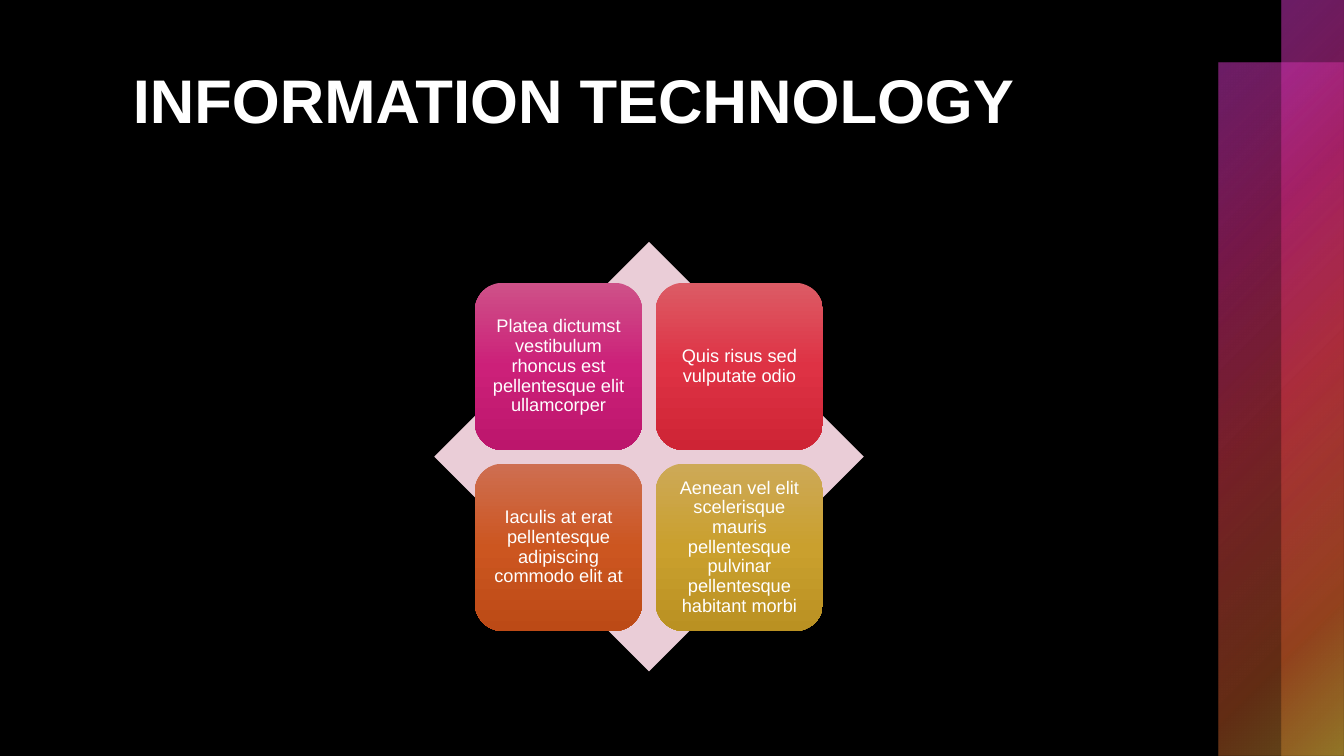
from pptx import Presentation, oxml
from pptx.dml import color
from pptx.enum import shapes, text
from pptx.oxml import ns
from pptx.util import Pt

FONT = "Arial"
WHITE = "FFFFFF"
KIND = shapes.MSO_SHAPE
GLOW = [(0, "D63ACC", 50), (25, "C42879", 60), (50, "D63A4A", 55),
        (81, "C45928", 50), (99, "C39D35", 50)]
ROUND = '<a:path path="circle"><a:fillToRect r="100000" b="100000"/></a:path>'
DOWN = '<a:lin ang="5400000" scaled="0"/>'
BARS = [(870.5, 44.6, 89.5, 495.4), (915.4, 0, 44.6, 540)]
TILES = [
    ("Platea dictumst vestibulum rhoncus est pellentesque elit ullamcorper",
     ("CE5188", "CC2079", "BC166C")),
    ("Quis risus sed vulputate odio",
     ("DC5B65", "DE3244", "CE2435")),
    ("Iaculis at erat pellentesque adipiscing commodo elit at",
     ("CE6E51", "CC5620", "BC4A16")),
    ("Aenean vel elit scelerisque mauris pellentesque pulvinar pellentesque habitant morbi",
     ("CDA957", "CAA02E", "BA9122")),
]
LEFT, TOP, SIDE, STEP = 339.2, 202, 119.5, 129.2


def paint(fill, tint):
    fill.solid()
    fill.fore_color.rgb = color.RGBColor.from_string(tint)


def blend(shape, stops, course):
    marks = "".join(
        f'<a:gs pos="{pos * 1000}"><a:srgbClr val="{tint}">'
        f'<a:alpha val="{alpha * 1000}"/></a:srgbClr></a:gs>'
        for pos, tint, alpha in stops)
    fill = oxml.parse_xml(
        f'<a:gradFill {ns.nsdecls("a")} rotWithShape="1">'
        f'<a:gsLst>{marks}</a:gsLst>{course}</a:gradFill>')
    shape._element.spPr.find(ns.qn("a:prstGeom")).addnext(fill)


def block(slide, kind, box):
    shape = slide.shapes.add_shape(kind, *map(Pt, box))
    shape.shadow.inherit = False
    shape.line.fill.background()
    return shape


def write(para, words, size, bold=False):
    run = para.add_run()
    run.text = words
    run.font.name = FONT
    run.font.size = Pt(size)
    run.font.bold = bold
    run.font.color.rgb = color.RGBColor.from_string(WHITE)


def title(slide, words):
    frame = slide.shapes.add_textbox(Pt(87.8), Pt(36), Pt(746.6), Pt(122.4)).text_frame
    frame.word_wrap = True
    frame.margin_top = Pt(8)
    write(frame.paragraphs[0], words, 44, True)


def tile(slide, box, words, tints):
    shape = block(slide, KIND.ROUNDED_RECTANGLE, box)
    blend(shape, [(i * 50, tint, 100) for i, tint in enumerate(tints)], DOWN)
    frame = shape.text_frame
    frame.word_wrap = True
    frame.vertical_anchor = text.MSO_ANCHOR.MIDDLE
    frame.margin_left = frame.margin_right = Pt(3.6)
    frame.margin_top = frame.margin_bottom = Pt(3.6)
    para = frame.paragraphs[0]
    para.alignment = text.PP_ALIGN.CENTER
    para.line_spacing = 0.9
    write(para, words, 13)


def main():
    deck = Presentation()
    deck.slide_width, deck.slide_height = Pt(960), Pt(540)
    slide = deck.slides.add_slide(deck.slide_layouts[6])
    paint(slide.background.fill, "000000")
    for box in BARS:
        blend(block(slide, KIND.RECTANGLE, box), GLOW, ROUND)
    title(slide, "INFORMATION TECHNOLOGY")
    gem = block(slide, KIND.DIAMOND, (310.2, 172.8, 306.8, 306.8))
    paint(gem.fill, "EACDD7")
    for i, (words, tints) in enumerate(TILES):
        row, col = divmod(i, 2)
        tile(slide, (LEFT + col * STEP, TOP + row * STEP, SIDE, SIDE), words, tints)
    deck.save("out.pptx")


if __name__ == "__main__":
    main()
